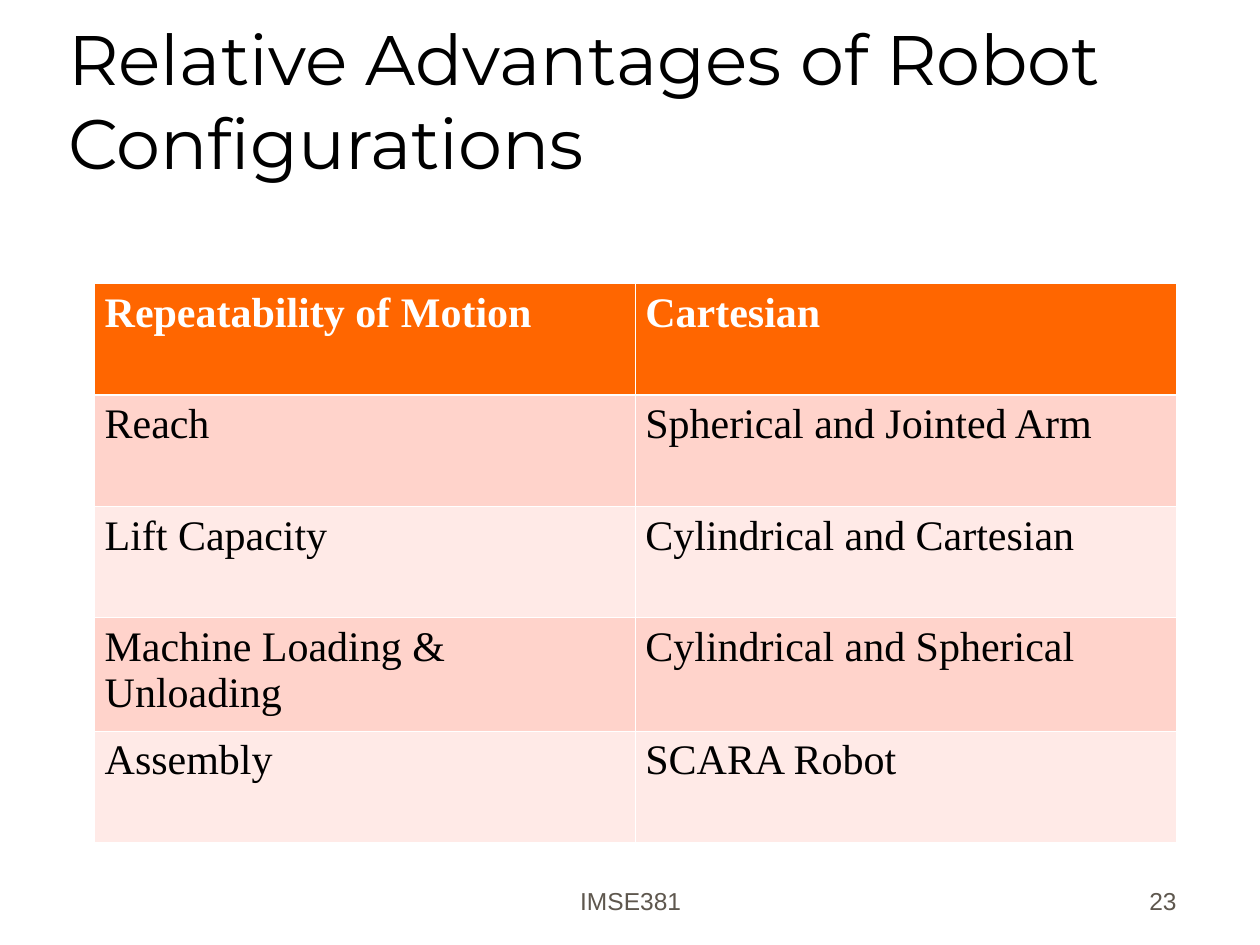
from lxml import etree
from pptx import Presentation
from pptx import util as u
from pptx.dml.color import RGBColor
from pptx.enum import text
from pptx.oxml import ns

BLACK = RGBColor(0x00, 0x00, 0x00)
WHITE = RGBColor(0xFF, 0xFF, 0xFF)
ORANGE = RGBColor(0xFF, 0x66, 0x00)
PINK = RGBColor(0xFF, 0xD3, 0xCB)
PALE_PINK = RGBColor(0xFF, 0xEA, 0xE7)
GREY = RGBColor(0x5E, 0x57, 0x4E)


def add_run(paragraph, words, font, size, colour, bold=False):
    run = paragraph.add_run()
    run.text = words
    run.font.name = font
    run.font.size = u.Pt(size)
    run.font.bold = bold
    run.font.color.rgb = colour


def add_border(cell, side, width):
    """Draw a white line on one side (L, R, T or B) of a cell."""
    line = etree.SubElement(cell._tc.get_or_add_tcPr(), ns.qn(f"a:ln{side}"), w=str(u.Pt(width)))
    fill = etree.SubElement(line, ns.qn("a:solidFill"))
    etree.SubElement(fill, ns.qn("a:srgbClr"), val=str(WHITE))


prs = Presentation()
prs.slide_width, prs.slide_height = u.Cm(25.4), u.Cm(19.05)
slide = prs.slides.add_slide(prs.slide_layouts[5])

title = slide.shapes.title
title.left, title.top = u.Cm(1.12), u.Cm(0.64)
title.width, title.height = u.Cm(21.59), u.Cm(3.18)
title.text_frame.auto_size = text.MSO_AUTO_SIZE.NONE
title.text_frame.vertical_anchor = text.MSO_ANCHOR.BOTTOM
heading = title.text_frame.paragraphs[0]
heading.alignment = text.PP_ALIGN.LEFT
add_run(heading, "Relative Advantages of Robot Configurations", "Montserrat", 40, BLACK)

# Footer: course code and page number
for words, left, width, alignment in [
    ("IMSE381", 8.69, 8.05, text.PP_ALIGN.CENTER),
    ("23", 18.69, 5.28, text.PP_ALIGN.RIGHT),
]:
    footer = slide.shapes.add_textbox(u.Cm(left), u.Cm(17.3), u.Cm(width), u.Cm(1.27)).text_frame
    footer.word_wrap = True
    footer.vertical_anchor = text.MSO_ANCHOR.BOTTOM
    footer.paragraphs[0].alignment = alignment
    add_run(footer.paragraphs[0], words, "Arial", 14, GREY)

advantages = [
    ("Repeatability of Motion", "Cartesian"),
    ("Reach", "Spherical and Jointed Arm"),
    ("Lift Capacity", "Cylindrical and Cartesian"),
    ("Machine Loading & Unloading", "Cylindrical and Spherical"),
    ("Assembly", "SCARA Robot"),
]
table = slide.shapes.add_table(
    len(advantages), 2, u.Cm(1.91), u.Cm(5.72), u.Cm(21.8), u.Cm(11.22)
).table
for row, pair in enumerate(advantages):
    is_header = row == 0
    row_fill = ORANGE if is_header else PINK if row % 2 else PALE_PINK
    for column, words in enumerate(pair):
        cell = table.cell(row, column)
        cell.margin_left = cell.margin_right = u.Cm(0.2)
        for side in "LRTB":
            below_header = (row, side) in [(0, "B"), (1, "T")]
            add_border(cell, side, 1.5 if below_header else 0.5)
        cell.fill.solid()
        cell.fill.fore_color.rgb = row_fill
        add_run(cell.text_frame.paragraphs[0], words, "Times New Roman", 24,
                WHITE if is_header else BLACK, is_header)

prs.save("out.pptx")
